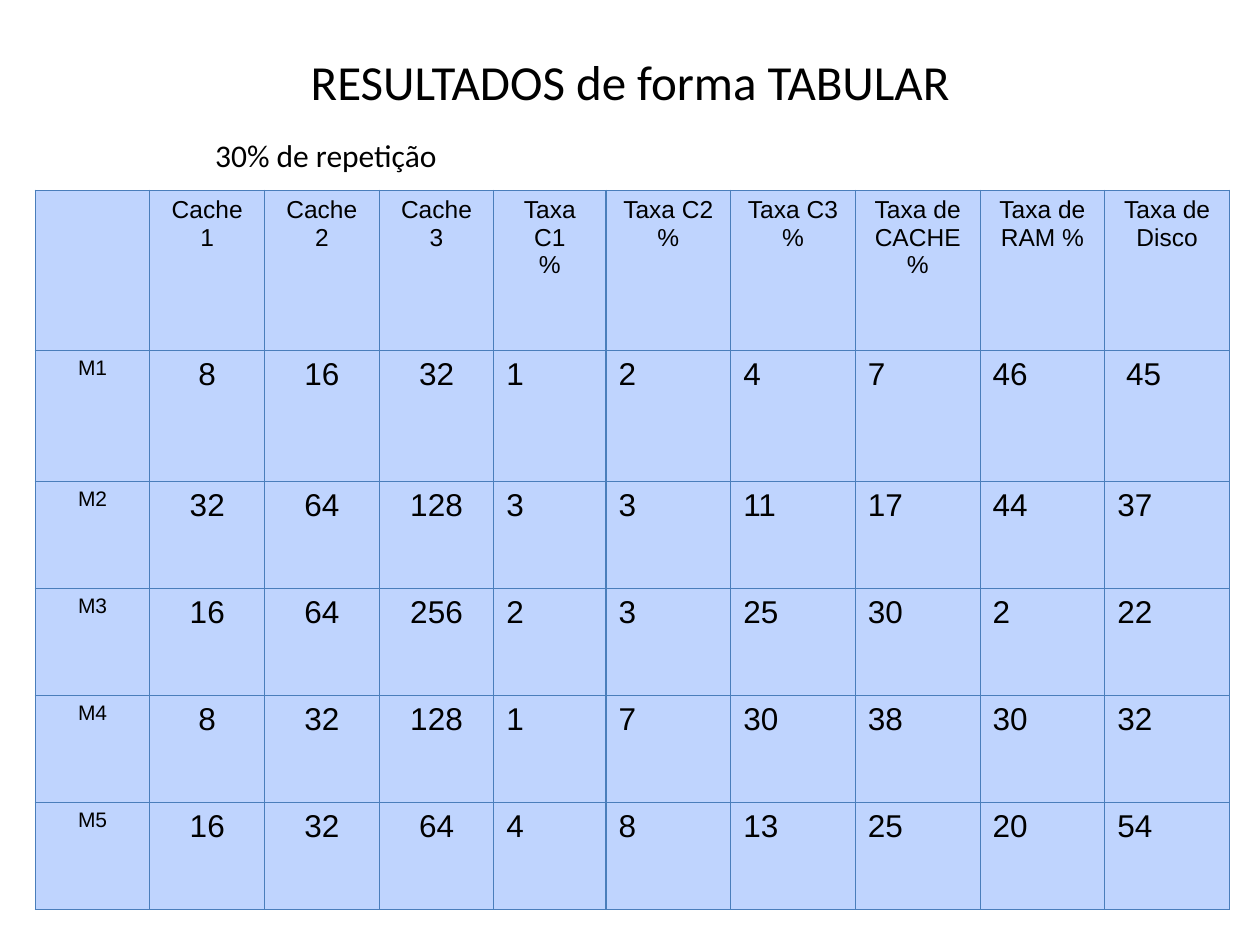
import pptx
import pptx.util
import pptx.dml.color
import pptx.enum.text
import pptx.oxml
import pptx.oxml.ns

Inches, Pt = pptx.util.Inches, pptx.util.Pt
Align = pptx.enum.text.PP_ALIGN
Anchor = pptx.enum.text.MSO_ANCHOR

TITLE = "RESULTADOS de forma TABULAR"
NOTE = "30% de repetição"
HEADS = ["", "Cache 1", "Cache 2", "Cache 3", "Taxa C1\n%", "Taxa C2\n%",
         "Taxa C3\n%", "Taxa de CACHE %", "Taxa de RAM %", "Taxa de Disco"]
ROWS = [
    ["M1", "8", "16", "32", "1", "2", "4", "7", "46", " 45"],
    ["M2", "32", "64", "128", "3", "3", "11", "17", "44", "37"],
    ["M3", "16", "64", "256", "2", "3", "25", "30", "2", "22"],
    ["M4", "8", "32", "128", "1", "7", "30", "38", "30", "32"],
    ["M5", "16", "32", "64", "4", "8", "13", "25", "20", "54"],
]
WIDTHS = [0.91] * 4 + [0.89] + [0.99] * 5
HEIGHTS = [1.27, 1.04] + [0.85] * 4
CENTRED = 4  # leading columns whose values are centred

THEME = {
    "text": "000000", "cell": "BFD4FE", "rule": "4A7EBB", "rule_pt": 0.75,
    "main": "Calibri", "grid": "Arial",
    "title": 28, "note": 18, "head": 14, "label": 12, "value": 18,
}


def rgb(name):
    return pptx.dml.color.RGBColor.from_string(THEME[name])


def write(frame, text, face, size, align):
    frame.text = text
    for para in frame.paragraphs:
        para.alignment = align
        for run in para.runs:
            run.font.name = THEME[face]
            run.font.size = Pt(THEME[size])
            run.font.color.rgb = rgb("text")


def place(shape, left, top, width, height):
    shape.left, shape.top = Inches(left), Inches(top)
    shape.width, shape.height = Inches(width), Inches(height)


def border(cell):
    props = cell._tc.get_or_add_tcPr()
    for side in "LRTB":
        props.append(pptx.oxml.parse_xml(
            f'<a:ln{side} {pptx.oxml.ns.nsdecls("a")} w="{Pt(THEME["rule_pt"])}">'
            f'<a:solidFill><a:srgbClr val="{THEME["rule"]}"/></a:solidFill>'
            f'</a:ln{side}>'))


def style(row, col):
    """Return the type size and alignment for a table position."""
    if row == 0:
        return "head", Align.CENTER
    if col == 0:
        return "label", Align.CENTER
    return "value", Align.CENTER if col < CENTRED else Align.LEFT


def add_grid(slide):
    data = [HEADS] + ROWS
    table = slide.shapes.add_table(
        len(data), len(HEADS), Inches(0.28), Inches(1.51),
        Inches(sum(WIDTHS)), Inches(sum(HEIGHTS))).table
    table.first_row = table.horz_banding = False
    for col, width in zip(table.columns, WIDTHS):
        col.width = Inches(width)
    for row, height in zip(table.rows, HEIGHTS):
        row.height = Inches(height)
    for r, texts in enumerate(data):
        for c, text in enumerate(texts):
            cell = table.cell(r, c)
            border(cell)
            cell.fill.solid()
            cell.fill.fore_color.rgb = rgb("cell")
            write(cell.text_frame, text, "grid", *style(r, c))


def main():
    deck = pptx.Presentation()
    deck.slide_width, deck.slide_height = Inches(10), Inches(7.5)
    slide = deck.slides.add_slide(deck.slide_layouts[5])

    title = slide.shapes.title
    place(title, 0.9, 0.26, 8.2, 0.77)
    title.text_frame.vertical_anchor = Anchor.MIDDLE
    write(title.text_frame, TITLE, "main", "title", Align.CENTER)

    note = slide.shapes.add_textbox(
        Inches(1.61), Inches(1.03), Inches(4.83), Inches(0.4))
    note.text_frame.word_wrap = True
    write(note.text_frame, NOTE, "main", "note", Align.LEFT)

    add_grid(slide)
    deck.save("out.pptx")


if __name__ == "__main__":
    main()
